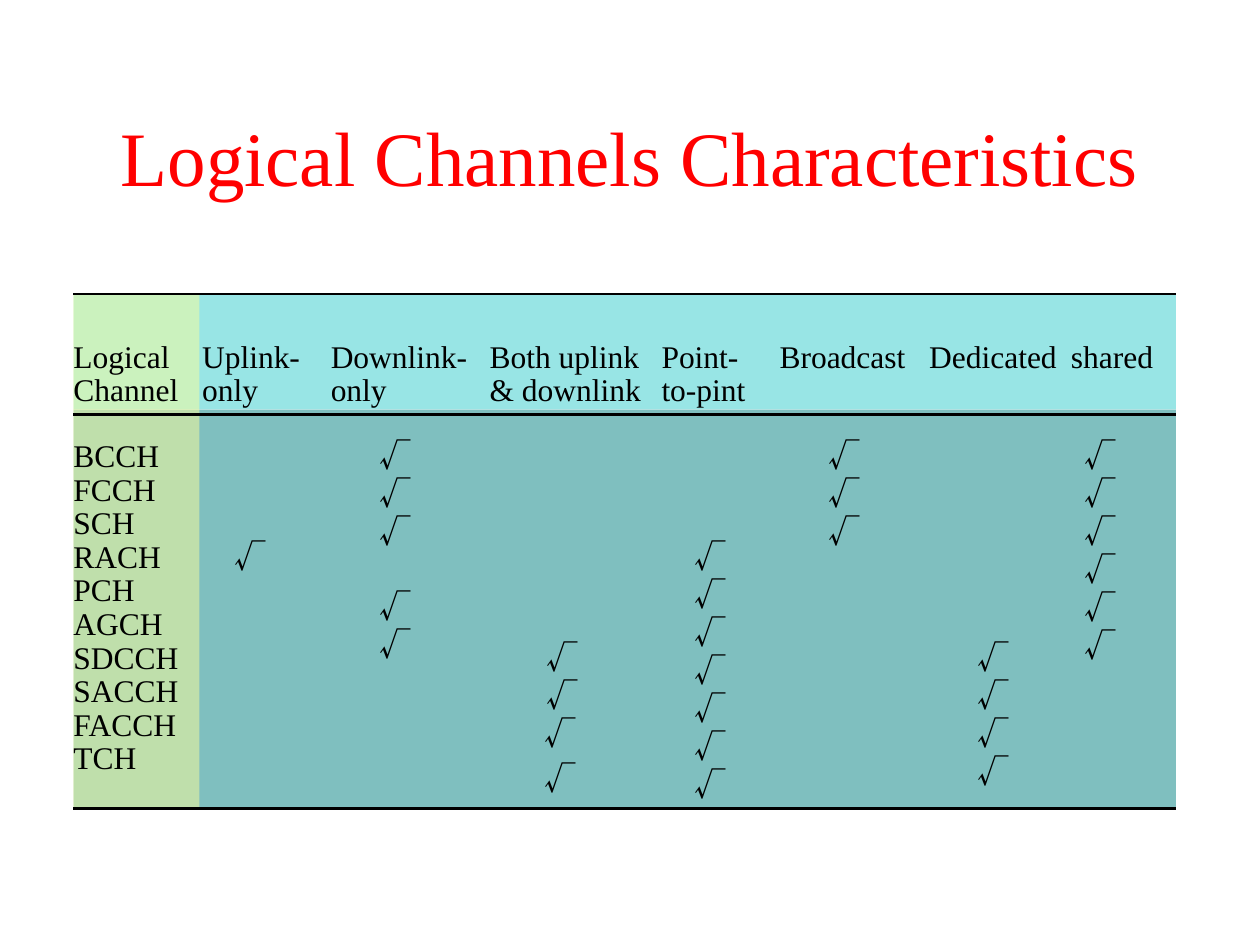
from lxml import etree
from pptx import Presentation
from pptx import util as u
from pptx.dml.color import RGBColor
from pptx.enum import shapes, text
from pptx.oxml.ns import qn

PX = 9525
RED = RGBColor(0xFF, 0x00, 0x00)
BLACK = RGBColor(0x00, 0x00, 0x00)
AQUA = RGBColor(0x33, 0xCC, 0xCC)
TEAL = RGBColor(0x00, 0x80, 0x80)
CREAM = RGBColor(0xFF, 0xFF, 0x99)

SERIF = "Times New Roman"
HAN = "Noto Sans CJK TC"
TITLE = "Logical Channels Characteristics"
HEADS = [
    (56, 82, ["Logical", "Channel"]),
    (154, 78, ["Uplink-", "only"]),
    (252, 106, ["Downlink-", "only"]),
    (373, 120, ["Both uplink", "& downlink"]),
    (504, 68, ["Point-", "to-pint"]),
    (594, 100, ["Broadcast"]),
    (708, 100, ["Dedicated"]),
    (816, 66, ["shared"]),
]
NAMES = ["BCCH", "FCCH", "SCH", "RACH", "PCH",
         "AGCH", "SDCCH", "SACCH", "FACCH", "TCH"]
TICKS = [
    (179, 409, 1),
    (289, 332, 3),
    (289, 447, 2),
    (416, 486, 2),
    (415, 544, 1),
    (415, 578, 1),
    (529, 409, 7),
    (631, 332, 3),
    (745, 486, 4),
    (826, 332, 6),
]
LEFT, WIDE, TALL = 56, 840, 29
BANDS = [
    (LEFT, 224, WIDE, 88, AQUA),
    (LEFT, 312, WIDE, 304, TEAL),
    (LEFT, 224, 96, 392, CREAM),
]
RULES = [224, 316, 616]
HEAD_TOP, HEAD_STEP = 257, 25
NAME_TOP, NAME_STEP = 332, 25.6
TICK_STEP = 29


def place(*box):
    return [u.Emu(n * PX) for n in box]


def style(thing, values):
    for key, value in values.items():
        setattr(thing, key, value)


def band(slide, x, y, w, h, color):
    box = slide.shapes.add_shape(shapes.MSO_SHAPE.RECTANGLE, *place(x, y, w, h))
    box.shadow.inherit = False
    box.line.fill.background()
    box.fill.solid()
    box.fill.fore_color.rgb = color
    tint = box.fill._xPr.find(".//" + qn("a:srgbClr"))
    etree.SubElement(tint, qn("a:alpha"), val="50000")


def rule(slide, y):
    line = slide.shapes.add_connector(
        shapes.MSO_CONNECTOR.STRAIGHT, *place(LEFT, y, LEFT + WIDE, y))
    line.line.width = u.Pt(1.5)
    line.line.color.rgb = BLACK
    etree.SubElement(line._element.spPr, qn("a:effectLst"))


def label(slide, words, box, font=SERIF, size=18, color=BLACK, pad=(0, 0), **form):
    frame = slide.shapes.add_textbox(*place(*box)).text_frame
    side, edge = place(*pad)
    style(frame, {
        "word_wrap": True,
        "margin_left": side, "margin_right": side,
        "margin_top": edge, "margin_bottom": edge,
        "vertical_anchor": form.pop("anchor", text.MSO_ANCHOR.TOP),
    })
    para = frame.paragraphs[0]
    style(para, form)
    run = para.add_run()
    run.text = words
    style(run.font, {"name": font, "size": u.Pt(size)})
    run.font.color.rgb = color
    etree.SubElement(run._r.get_or_add_rPr(), qn("a:ea"), typeface=font)


def main():
    deck = Presentation()
    deck.slide_width, deck.slide_height = place(960, 720)
    slide = deck.slides.add_slide(deck.slide_layouts[6])
    for item in BANDS:
        band(slide, *item)
    label(slide, TITLE, (72, 64, 816, 120), size=44, color=RED, pad=(10, 5),
          anchor=text.MSO_ANCHOR.MIDDLE, alignment=text.PP_ALIGN.CENTER,
          line_spacing=0.85)
    for y in RULES:
        rule(slide, y)
    for x, w, lines in HEADS:
        for i, words in enumerate(lines):
            label(slide, words, (x, HEAD_TOP + i * HEAD_STEP, w, TALL))
    for i, name in enumerate(NAMES):
        label(slide, name, (LEFT, NAME_TOP + round(i * NAME_STEP), 82, TALL))
    for x, y, count in TICKS:
        for i in range(count):
            label(slide, "√", (x, y + i * TICK_STEP, 24, TALL), font=HAN)
    deck.save("out.pptx")


if __name__ == "__main__":
    main()
